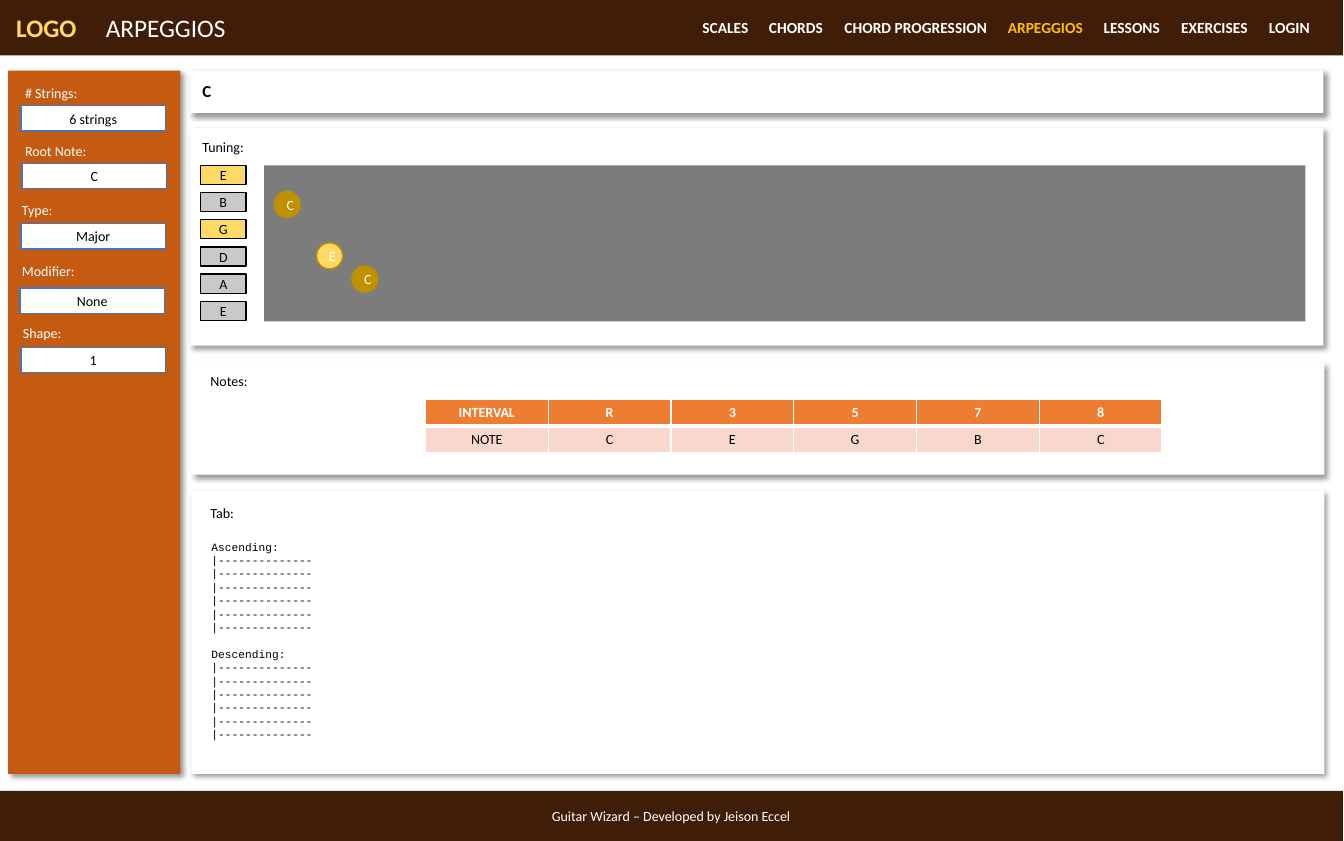
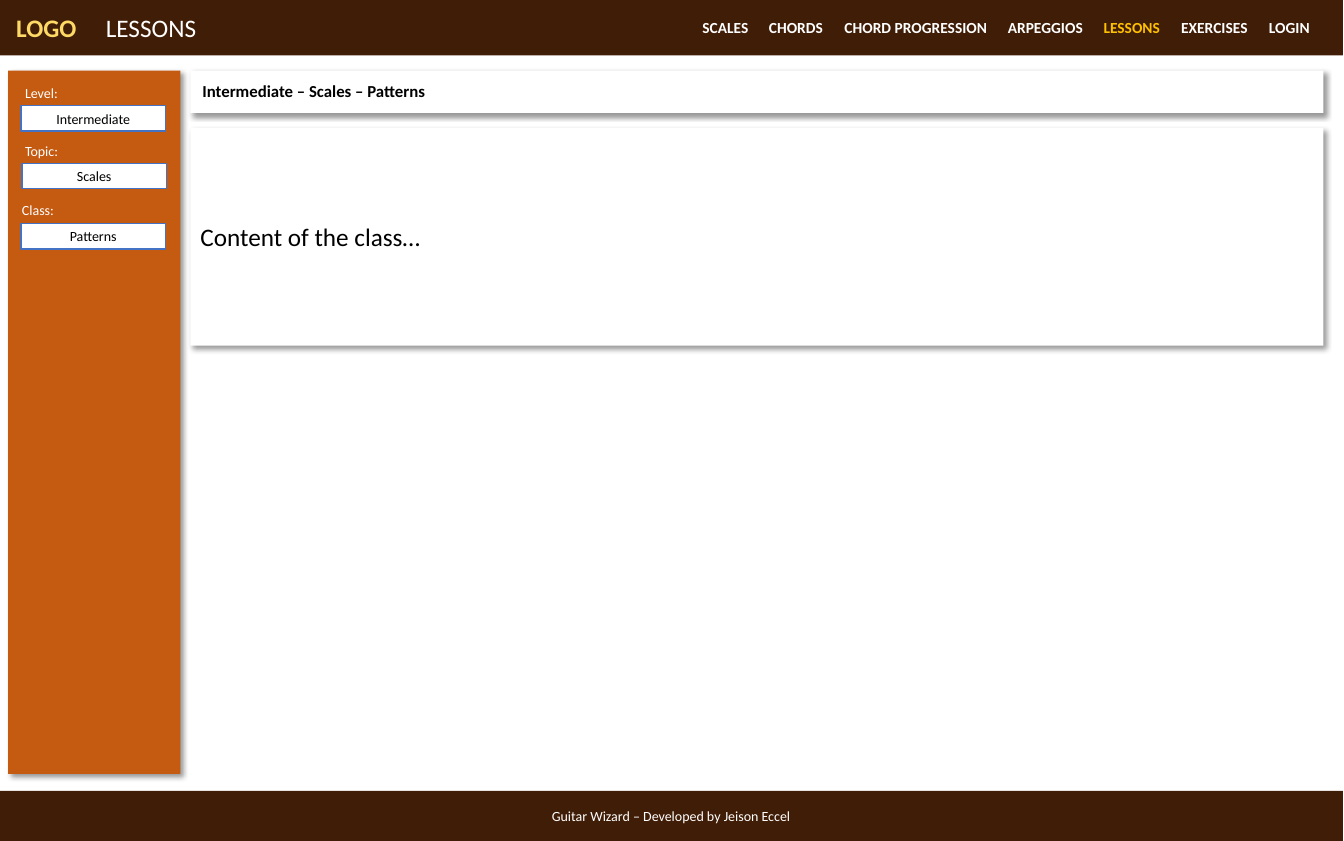
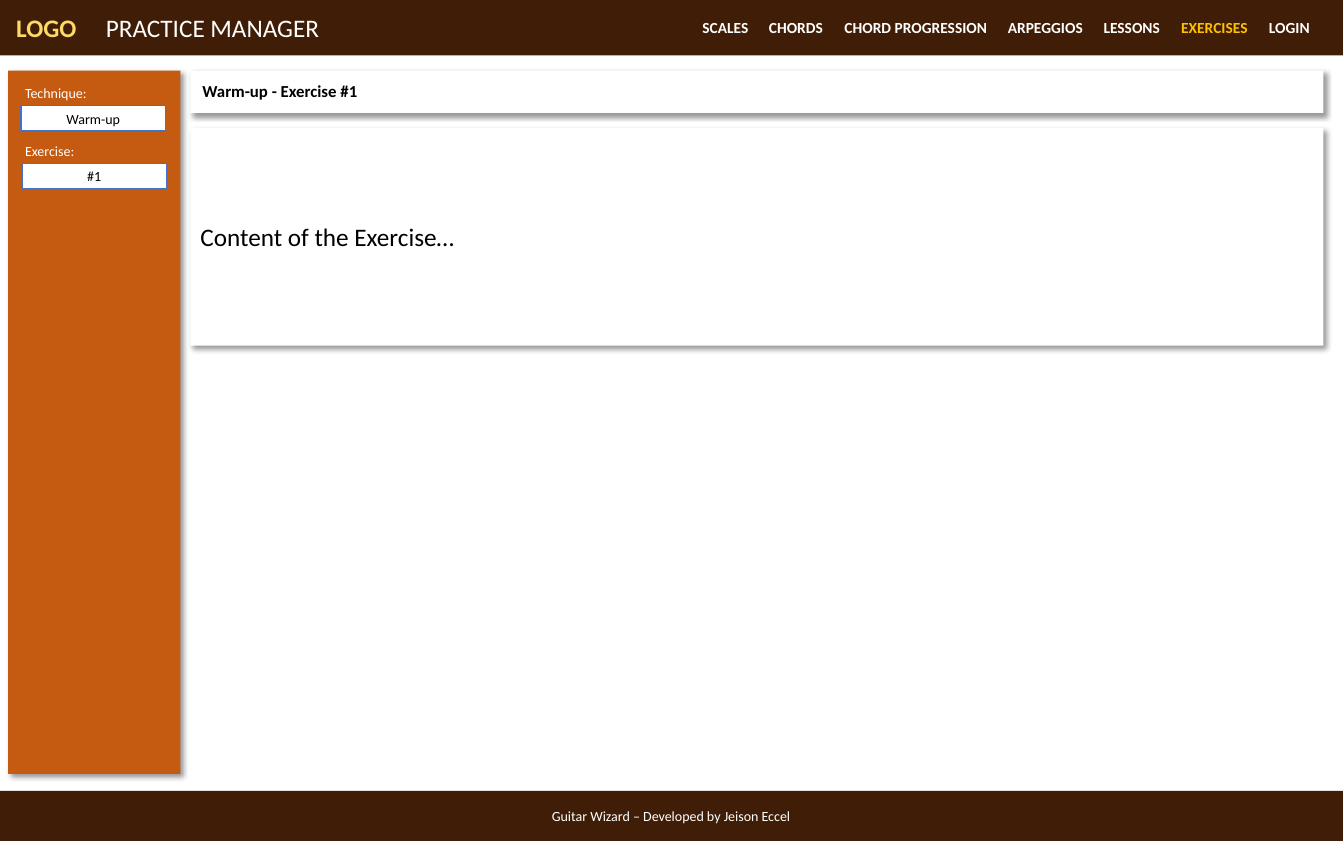
from lxml import etree
from pptx import Presentation
from pptx.dml.color import RGBColor
from pptx.enum.shapes import MSO_SHAPE
from pptx.enum.text import MSO_ANCHOR, PP_ALIGN
from pptx.oxml.ns import qn
from pptx.util import Inches, Pt

RECTANGLE, OVAL = MSO_SHAPE.RECTANGLE, MSO_SHAPE.OVAL
LEFT, CENTER = PP_ALIGN.LEFT, PP_ALIGN.CENTER
TOP, MIDDLE = MSO_ANCHOR.TOP, MSO_ANCHOR.MIDDLE

WHITE, BLACK = "FFFFFF", "000000"
BROWN, RUST, ORANGE, PEACH = "401D06", "C55A11", "ED7D31", "F8D7CE"
YELLOW, AMBER, GOLD, GOLD_EDGE = "FFD966", "FFC000", "BF9000", "BD8E00"
GRAY, LIGHT_GRAY, BLUE = "7C7C7C", "C9C9C9", "4472C4"

WIDTH, HEIGHT = 40 / 3, 21.2 / 2.54
NAVIGATION = [("SCALES", 0), ("CHORDS", 0.66), ("CHORD PROGRESSION", 1.41),
              ("ARPEGGIOS", 3.03), ("LESSONS", 3.98), ("EXERCISES", 4.75), ("LOGIN", 5.62)]
FIELD_PLACES = [((0.15, 0.79), (0.21, 1.05)), ((0.15, 1.37), (0.22, 1.62)),
                ((0.12, 1.95), (0.21, 2.22)), ((0.12, 2.56), (0.20, 2.86)),
                ((0.13, 3.17), (0.21, 3.45))]


def color(value):
    return RGBColor.from_string(value)


def add_element(parent, tag, **attributes):
    return etree.SubElement(parent, qn(tag), {name: str(value) for name, value in attributes.items()})


class Deck:
    font_name = "Calibri"

    def __init__(self):
        self.presentation = Presentation()
        self.presentation.slide_width = Inches(WIDTH)
        self.presentation.slide_height = Inches(HEIGHT)
        self.slide = None

    def style(self, paragraph, size, text_color, bold=False, align=LEFT, font_name=None):
        paragraph.alignment = align
        font = paragraph.font
        font.name = font_name or self.font_name
        font.size = Pt(size)
        font.bold = bold
        font.color.rgb = color(text_color)

    def shape(self, left, top, width, height, fill, line=None, kind=RECTANGLE,
              text="", size=10, text_color=BLACK, align=CENTER):
        shape = self.slide.shapes.add_shape(
            kind, Inches(left), Inches(top), Inches(width), Inches(height))
        shape.shadow.inherit = False
        shape.fill.solid()
        shape.fill.fore_color.rgb = color(fill)
        if line:
            shape.line.color.rgb = color(line)
            shape.line.width = Pt(1)
        else:
            shape.line.fill.background()
        if text:
            paragraph = shape.text_frame.paragraphs[0]
            paragraph.text = text
            self.style(paragraph, size, text_color, align=align)
        return shape

    def card(self, left, top, width, height, fill=WHITE, text=""):
        shape = self.shape(left, top, width, height, fill, text=text, size=18, align=LEFT)
        effects = shape._element.spPr.find(qn("a:effectLst"))
        shadow = add_element(effects, "a:outerShdw", blurRad=Pt(4), dist=Pt(3),
                             dir=45 * 60000, algn="tl", rotWithShape=0)
        add_element(add_element(shadow, "a:srgbClr", val=BLACK), "a:alpha", val=40000)

    def text_box(self, left, top, width, height, anchor=TOP):
        frame = self.slide.shapes.add_textbox(
            Inches(left), Inches(top), Inches(width), Inches(height)).text_frame
        frame.word_wrap = True
        frame.vertical_anchor = anchor
        return frame

    def label(self, left, top, text, text_color=BLACK, size=10, bold=False,
              width=1.0, height=0.27, anchor=TOP, align=LEFT):
        paragraph = self.text_box(left, top, width, height, anchor).paragraphs[0]
        paragraph.text = text
        self.style(paragraph, size, text_color, bold, align)

    def navigation(self, active):
        paragraph = self.text_box(6.87, 0, 6.23, 0.55, MIDDLE).paragraphs[0]
        tabs = add_element(paragraph._p.get_or_add_pPr(), "a:tabLst")
        for index, (name, position) in enumerate(NAVIGATION):
            if index:
                add_element(tabs, "a:tab", pos=Inches(position), algn="l")
                paragraph.add_run().text = "\t"
            run = paragraph.add_run()
            run.text = name
            if name == active:
                run.font.color.rgb = color(AMBER)
        self.style(paragraph, 11, WHITE, bold=True)

    def field(self, place, name, value):
        (label_left, label_top), (box_left, box_top) = place
        self.label(label_left, label_top, name, WHITE)
        self.shape(box_left, box_top, 1.43, 0.25, WHITE, BLUE, text=value)

    def page(self, title, active, heading, fields, content=""):
        self.slide = self.presentation.slides.add_slide(self.presentation.slide_layouts[6])
        self.card(1.89, 0.7, 11.24, 0.42)
        self.card(1.89, 1.27, 11.24, 2.16, text=content)
        self.card(0.08, 0.7, 1.71, 6.98, RUST)
        band = self.shape(-0.01, 0, WIDTH, 0.55, BROWN, text=title, size=18,
                          text_color=WHITE, align=LEFT)
        band.text_frame.margin_left = Inches(1.06)
        self.shape(-0.01, 7.85, WIDTH, 0.5, BROWN, text_color=WHITE,
                   text="Guitar Wizard – Developed by Jeison Eccel")
        self.label(-0.01, 0, "LOGO", YELLOW, 18, True, 0.94, 0.54, MIDDLE, CENTER)
        self.navigation(active)
        self.label(1.91, 0.75, heading, size=12, bold=True, width=5.57, height=0.3)
        for place, (name, value) in zip(FIELD_PLACES, fields):
            self.field(place, name, value)

    def fretboard(self, strings, notes):
        self.label(1.91, 1.33, "Tuning:")
        self.shape(2.62, 1.64, 10.33, 1.55, GRAY)
        for index, (name, fill) in enumerate(strings):
            self.shape(1.99, 1.64 + 0.27 * index, 0.45, 0.19, fill, BLACK, text=name)
        for left, top, name, fill in notes:
            self.shape(left, top, 0.26, 0.26, fill, GOLD_EDGE, OVAL, name, text_color=WHITE)

    def cell_borders(self, cell, **widths):
        properties = cell._tc.get_or_add_tcPr()
        for side in "LRTB":
            border = add_element(properties, "a:ln" + side, w=Pt(widths.get(side, 1)))
            add_element(add_element(border, "a:solidFill"), "a:srgbClr", val=WHITE)

    def interval_table(self, left, top, width, row_height, rows):
        table = self.slide.shapes.add_table(
            len(rows), len(rows[0]), Inches(left), Inches(top),
            Inches(width), Inches(row_height * len(rows))).table
        looks = [(ORANGE, WHITE, True, {"B": 3}), (PEACH, BLACK, False, {"T": 3})]
        for row, values, (fill, text_color, bold, borders) in zip(table.rows, rows, looks):
            row.height = Inches(row_height)
            for cell, value in zip(row.cells, values):
                self.cell_borders(cell, **borders)
                cell.fill.solid()
                cell.fill.fore_color.rgb = color(fill)
                paragraph = cell.text_frame.paragraphs[0]
                paragraph.text = value
                self.style(paragraph, 10, text_color, bold, CENTER)

    def tablature(self, left, top, width, height, headings):
        frame = self.text_box(left, top, width, height)
        lines = [line for heading in headings for line in [heading] + ["|" + "-" * 14] * 6]
        for index, line in enumerate(lines):
            paragraph = frame.add_paragraph() if index else frame.paragraphs[0]
            paragraph.text = line
            self.style(paragraph, 8, BLACK, font_name="Courier New")
            if index and line in headings:
                paragraph.space_before = Pt(9.5)


def main():
    deck = Deck()

    deck.page("ARPEGGIOS", "ARPEGGIOS", "C",
              [("# Strings:", "6 strings"), ("Root Note:", "C"), ("Type:", "Major"),
               ("Modifier:", "None"), ("Shape:", "1")])
    deck.fretboard(
        [("E", YELLOW), ("B", LIGHT_GRAY), ("G", YELLOW),
         ("D", LIGHT_GRAY), ("A", LIGHT_GRAY), ("E", LIGHT_GRAY)],
        [(3.14, 2.41, "E", YELLOW), (3.49, 2.64, "C", GOLD), (2.72, 1.9, "C", GOLD)])
    deck.card(1.9, 3.6, 11.24, 1.11)
    deck.label(1.99, 3.65, "Notes:")
    deck.interval_table(4.22, 3.96, 7.31, 0.26,
                        [["INTERVAL", "R", "3", "5", "7", "8"],
                         ["NOTE", "C", "E", "G", "B", "C"]])
    deck.card(1.9, 4.87, 11.24, 2.81)
    deck.label(1.99, 4.96, "Tab:")
    deck.tablature(2, 5.31, 10.96, 2.14, ["Ascending:", "Descending:"])

    deck.page("LESSONS", "LESSONS", "Intermediate – Scales – Patterns",
              [("Level:", "Intermediate"), ("Topic:", "Scales"), ("Class:", "Patterns")],
              "Content of the class…")

    deck.page("PRACTICE MANAGER", "EXERCISES", "Warm-up - Exercise #1",
              [("Technique:", "Warm-up"), ("Exercise:", "#1")],
              "Content of the Exercise…")

    deck.presentation.save("out.pptx")


if __name__ == "__main__":
    main()
